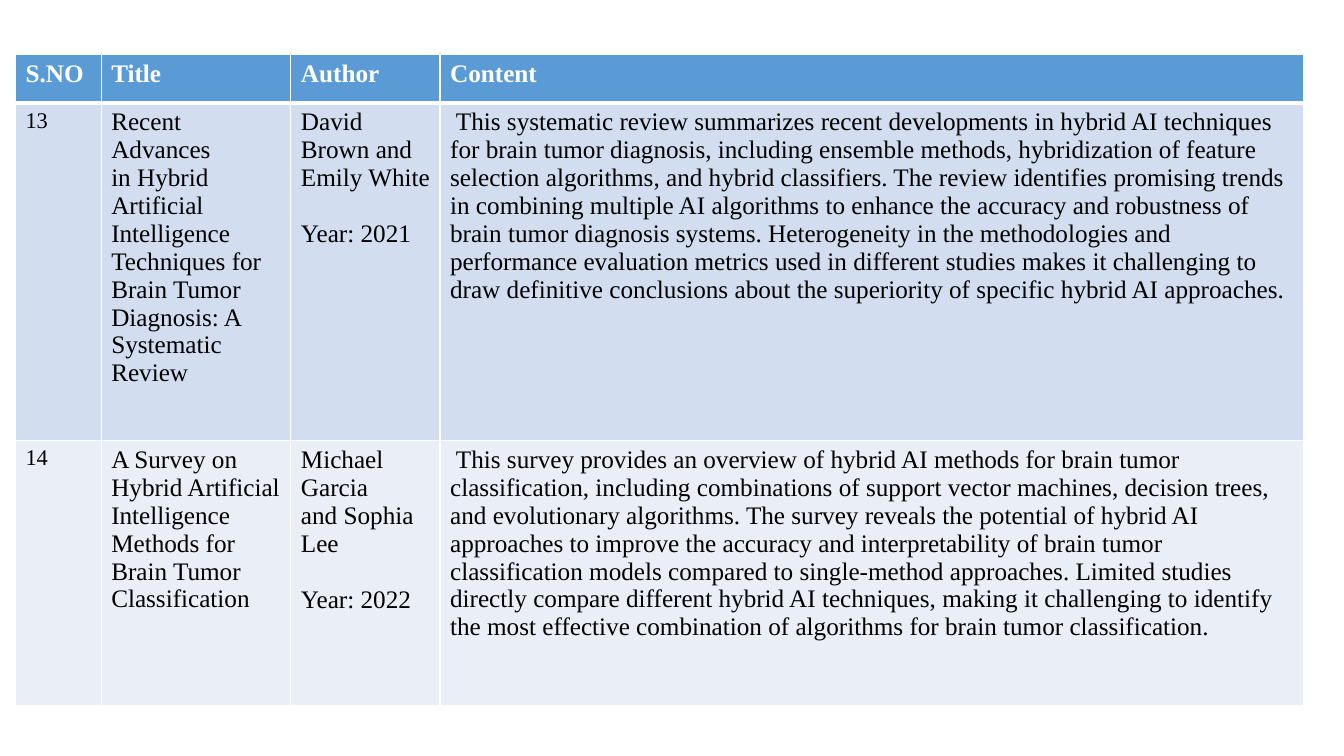
from lxml import etree
from pptx import Presentation
from pptx import util as u
from pptx.dml.color import RGBColor
from pptx.oxml.ns import qn

# Content: one tuple per table row, one paragraph per line
HEAD = ("S.NO", "Title", "Author", "Content")
PAPERS = [
    ("13",
     "Recent Advances\nin Hybrid Artificial\nIntelligence\nTechniques for\n"
     "Brain Tumor\nDiagnosis: A\nSystematic\nReview",
     "David Brown and\nEmily White\nYear: 2021",
     " This systematic review summarizes recent developments in hybrid AI "
     "techniques for brain tumor diagnosis, including ensemble methods, "
     "hybridization of feature selection algorithms, and hybrid classifiers. "
     "The review identifies promising trends in combining multiple AI "
     "algorithms to enhance the accuracy and robustness of brain tumor "
     "diagnosis systems. Heterogeneity in the methodologies and performance "
     "evaluation metrics used in different studies makes it challenging to "
     "draw definitive conclusions about the superiority of specific hybrid "
     "AI approaches."),
    ("14",
     "A Survey on\nHybrid Artificial\nIntelligence\nMethods for\n"
     "Brain Tumor\nClassification",
     "Michael Garcia\nand Sophia Lee\nYear: 2022",
     " This survey provides an overview of hybrid AI methods for brain tumor "
     "classification, including combinations of support vector machines, "
     "decision trees, and evolutionary algorithms. The survey reveals the "
     "potential of hybrid AI approaches to improve the accuracy and "
     "interpretability of brain tumor classification models compared to "
     "single-method approaches. Limited studies directly compare different "
     "hybrid AI techniques, making it challenging to identify the most "
     "effective combination of algorithms for brain tumor classification."),
]
ROWS = [HEAD] + PAPERS
WIDTHS = (2.16, 4.78, 3.76, 21.76)
HEIGHTS = (1.22, 8.51, 6.68)
FILLS = ("5B9BD5", "D2DEEF", "EAEFF7")
FONT, WHITE, BLACK = "Times New Roman", "FFFFFF", "000000"


def color(code):
    return RGBColor.from_string(code)


def border(cell, row):
    """White lines, thicker between the header and the body."""
    props = cell._tc.get_or_add_tcPr()
    thick = {(0, "lnB"), (1, "lnT")}
    for side in ("lnL", "lnR", "lnT", "lnB"):
        size = u.Pt(3 if (row, side) in thick else 1)
        line = etree.SubElement(props, qn("a:" + side), w=str(size))
        fill = etree.SubElement(line, qn("a:solidFill"))
        etree.SubElement(fill, qn("a:srgbClr"), val=WHITE)


def style(cell, row, col):
    """Fill the cell and format its text."""
    border(cell, row)
    cell.fill.solid()
    cell.fill.fore_color.rgb = color(FILLS[row])
    for para in cell.text_frame.paragraphs:
        if para.text.startswith("Year"):
            para.space_before = u.Pt(20)
        for run in para.runs:
            font = run.font
            font.name = FONT
            font.size = u.Pt(16 if row and col == 0 else 18)
            font.bold = row == 0
            font.color.rgb = color(BLACK if row else WHITE)


def main():
    deck = Presentation()
    deck.slide_width, deck.slide_height = u.Cm(33.87), u.Cm(19.05)
    slide = deck.slides.add_slide(deck.slide_layouts[6])

    # Table grid
    frame = slide.shapes.add_table(
        len(ROWS), len(HEAD), u.Cm(0.39), u.Cm(1.38),
        u.Cm(sum(WIDTHS)), u.Cm(sum(HEIGHTS)))
    table = frame.table
    for part, width in zip(table.columns, WIDTHS):
        part.width = u.Cm(width)
    for part, height in zip(table.rows, HEIGHTS):
        part.height = u.Cm(height)

    # Cells
    for row, texts in enumerate(ROWS):
        for col, words in enumerate(texts):
            cell = table.cell(row, col)
            cell.text_frame.text = words
            style(cell, row, col)

    deck.save("out.pptx")


if __name__ == "__main__":
    main()
